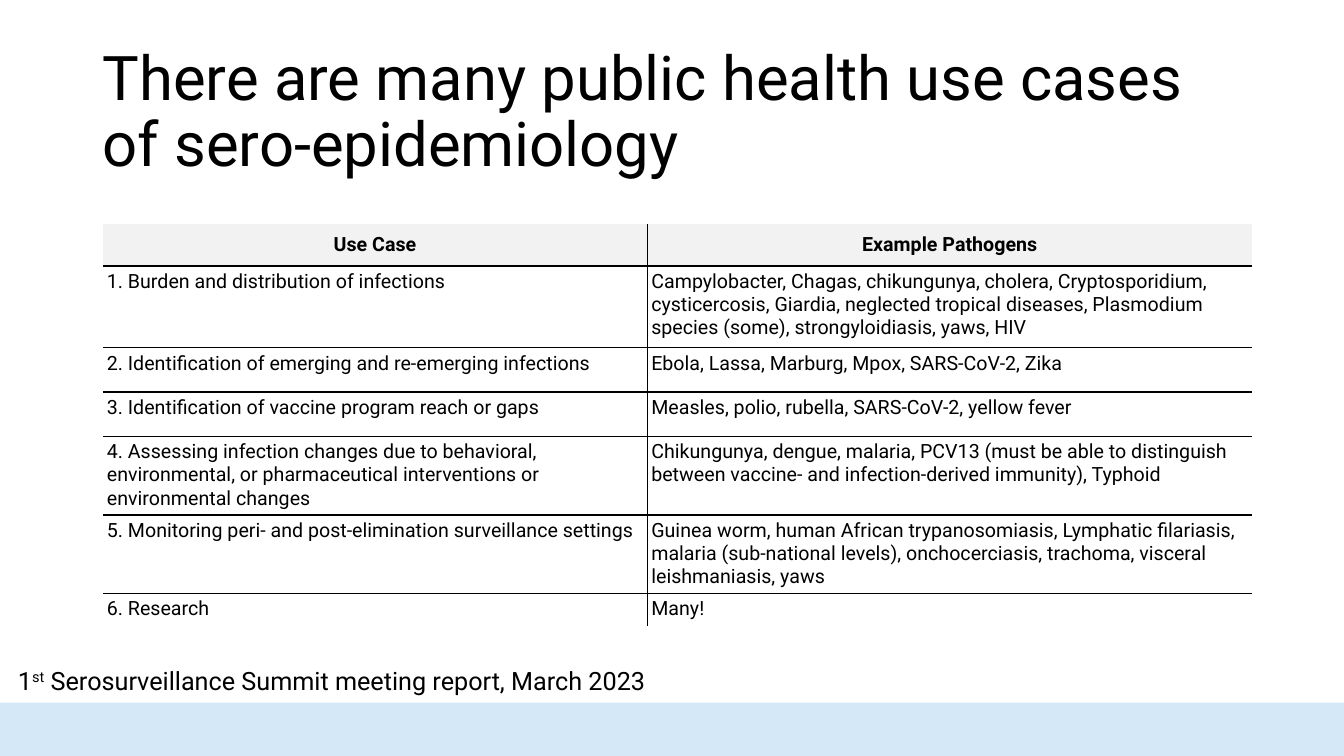
from dataclasses import dataclass

from lxml.etree import SubElement
from pptx import Presentation
from pptx.dml.color import RGBColor
from pptx.enum.shapes import MSO_SHAPE
from pptx.enum.text import MSO_ANCHOR, PP_ALIGN
from pptx.oxml.ns import qn
from pptx.util import Inches, Pt


@dataclass(frozen=True)
class Theme:
    font: str = "Roboto"
    ink: RGBColor = RGBColor(0x00, 0x00, 0x00)
    header: RGBColor = RGBColor(0xF2, 0xF2, 0xF2)
    band: RGBColor = RGBColor(0x66, 0xAB, 0xE5)
    band_alpha: int = 27
    title: int = 44
    source: int = 18
    cell: int = 14
    rule: int = 1


theme = Theme()

USE_CASES = [
    ("Use Case", "Example Pathogens"),
    ("1. Burden and distribution of infections",
     "Campylobacter, Chagas, chikungunya, cholera, Cryptosporidium, cysticercosis, Giardia, "
     "neglected tropical diseases, Plasmodium species (some), strongyloidiasis, yaws, HIV"),
    ("2. Identification of emerging and re-emerging infections",
     "Ebola, Lassa, Marburg, Mpox, SARS-CoV-2, Zika"),
    ("3. Identification of vaccine program reach or gaps",
     "Measles, polio, rubella, SARS-CoV-2, yellow fever"),
    ("4. Assessing infection changes due to behavioral, environmental, or pharmaceutical "
     "interventions or environmental changes",
     "Chikungunya, dengue, malaria, PCV13 (must be able to distinguish between vaccine- and "
     "infection-derived immunity), Typhoid"),
    ("5. Monitoring peri- and post-elimination surveillance settings",
     "Guinea worm, human African trypanosomiasis, Lymphatic filariasis, malaria (sub-national "
     "levels), onchocerciasis, trachoma, visceral leishmaniasis, yaws"),
    ("6. Research", "Many!"),
]
COL_WIDTHS = [5.4, 6]
ROW_HEIGHTS = [0.42, 0.81, 0.44, 0.44, 0.77, 0.77, 0.32]


def style(p, size, bold=False):
    p.font.name = theme.font
    p.font.size = Pt(size)
    p.font.bold = bold
    p.font.color.rgb = theme.ink


def set_borders(cell, visible):
    """Rule the sides named in visible (letters of LRTB) and clear the others."""
    tc_pr = cell._tc.get_or_add_tcPr()
    for side in "LRTB":
        ln = SubElement(tc_pr, qn(f"a:ln{side}"), w=str(Pt(theme.rule)))
        if side in visible:
            fill = SubElement(ln, qn("a:solidFill"))
            SubElement(fill, qn("a:srgbClr"), val=str(theme.ink))
        else:
            SubElement(ln, qn("a:noFill"))


prs = Presentation()
prs.slide_width = Inches(13.33)
prs.slide_height = Inches(7.5)
s = prs.slides.add_slide(prs.slide_layouts[6])

# Bottom band
band = s.shapes.add_shape(MSO_SHAPE.RECTANGLE, Inches(0), Inches(6.97), Inches(13.33), Inches(0.53))
band.shadow.inherit = False
band.fill.solid()
band.fill.fore_color.rgb = theme.band
band.line.fill.background()
band_color = band._element.spPr.find(qn("a:solidFill"))[0]
SubElement(band_color, qn("a:alpha"), val=str(theme.band_alpha * 1000))

# Title
title = s.shapes.add_textbox(Inches(0.92), Inches(0.4), Inches(11.5), Inches(1.45))
tf = title.text_frame
tf.word_wrap = True
tf.vertical_anchor = MSO_ANCHOR.MIDDLE
p = tf.paragraphs[0]
p.text = "There are many public health use cases of sero-epidemiology"
p.line_spacing = 0.9
style(p, theme.title)

# Source line
source = s.shapes.add_textbox(Inches(0.08), Inches(6.55), Inches(8.43), Inches(0.4))
tf = source.text_frame
tf.word_wrap = True
p = tf.paragraphs[0]
style(p, theme.source)
for text, baseline in [("1", 0), ("st", 30), (" Serosurveillance Summit meeting report, March 2023", 0)]:
    r = p.add_run()
    r.text = text
    if baseline:
        r._r.get_or_add_rPr().set("baseline", str(baseline * 1000))

# Use case table
table = s.shapes.add_table(
    len(USE_CASES), len(COL_WIDTHS), Inches(1.02), Inches(2.22),
    Inches(sum(COL_WIDTHS)), Inches(sum(ROW_HEIGHTS))).table
table.first_row = False
table.horz_banding = False
for column, width in zip(table.columns, COL_WIDTHS):
    column.width = Inches(width)
for row, height in zip(table.rows, ROW_HEIGHTS):
    row.height = Inches(height)

last = len(USE_CASES) - 1
for i, texts in enumerate(USE_CASES):
    is_header = i == 0
    for j, text in enumerate(texts):
        cell = table.cell(i, j)
        set_borders(cell, "RL"[j] + ("" if is_header else "T") + ("" if i == last else "B"))
        if is_header:
            cell.fill.solid()
            cell.fill.fore_color.rgb = theme.header
        else:
            cell.fill.background()
        cell.margin_left = cell.margin_right = Inches(0.04)
        cell.margin_top = cell.margin_bottom = Inches(0.02 if is_header else 0.04)
        cell.vertical_anchor = MSO_ANCHOR.MIDDLE if is_header else MSO_ANCHOR.TOP
        p = cell.text_frame.paragraphs[0]
        p.text = text
        p.alignment = PP_ALIGN.CENTER if is_header else PP_ALIGN.LEFT
        style(p, theme.cell, bold=is_header)

prs.save("out.pptx")
